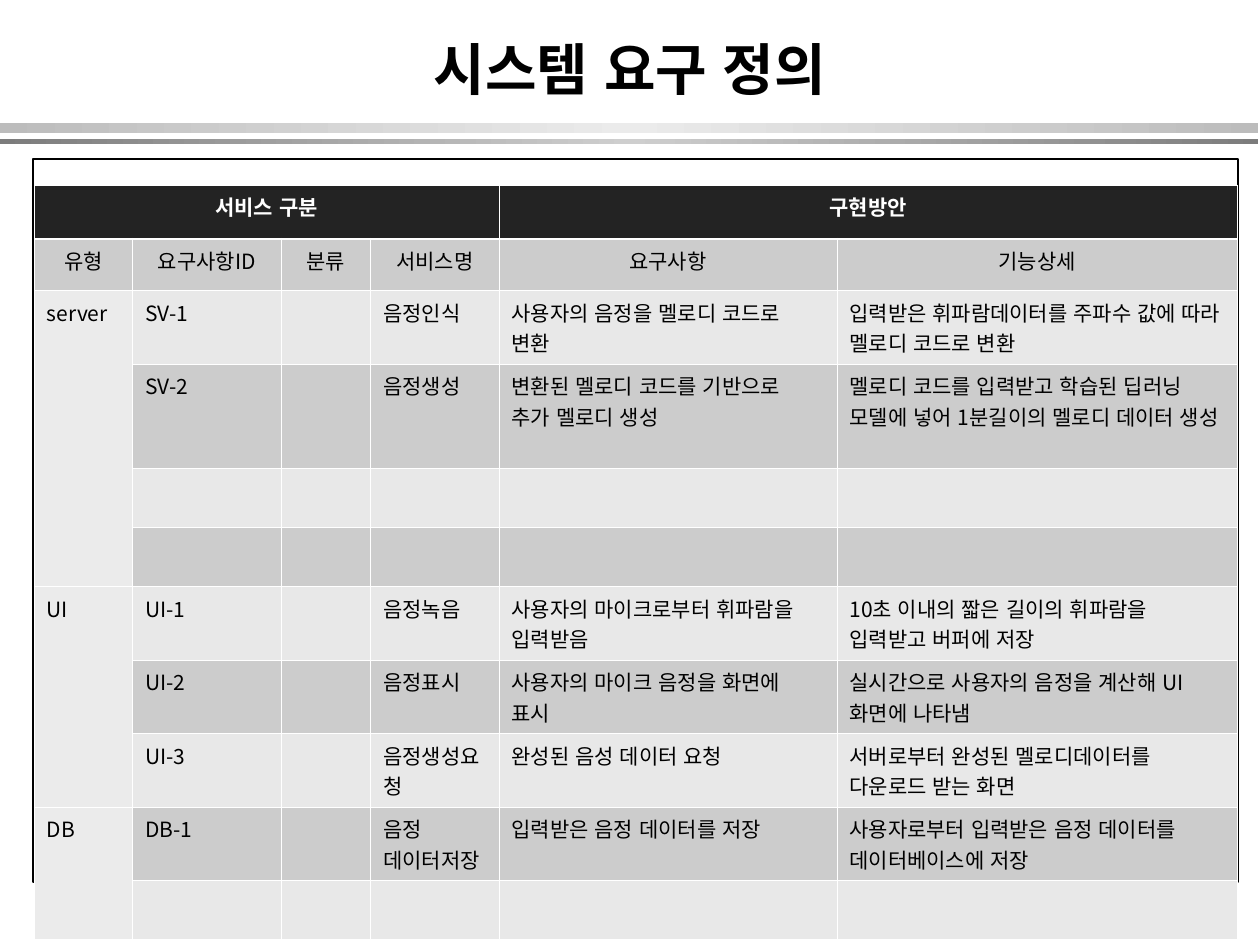
from copy import deepcopy
from lxml import etree
from pptx import Presentation, util as u
from pptx.dml.color import RGBColor
from pptx.enum import lang, shapes, text
from pptx.oxml.ns import qn

FACE = "Noto Sans CJK KR"


def color(code):
    return RGBColor.from_string(code)


def write(frame, words, size, code, bold, align):
    para = frame.paragraphs[0]
    para.alignment = align
    run = para.add_run()
    run.text = words
    look = {"name": FACE, "size": u.Pt(size), "bold": bold,
            "language_id": lang.MSO_LANGUAGE_ID.KOREAN}
    for key, val in look.items():
        setattr(run.font, key, val)
    run.font.color.rgb = color(code)
    east = etree.SubElement(run.font._element, qn("a:ea"))
    east.set("typeface", FACE)


deck = Presentation()
deck.slide_width, deck.slide_height = u.Cm(25.4), u.Cm(19.05)
slide = deck.slides.add_slide(deck.slide_layouts[5])

title = slide.shapes.title
place = {"left": 1.9, "top": 0.43, "width": 21.6, "height": 1.9}
for key, val in place.items():
    setattr(title, key, u.Cm(val))
title.text_frame.vertical_anchor = text.MSO_ANCHOR.MIDDLE
write(title.text_frame, "시스템 요구 정의", 32, "000000", True, text.PP_ALIGN.CENTER)

bars = [(2.49, 0.2, "BCBCBC", "EBEBEB"), (2.8, 0.1, "7C7C7C", "CECECE")]
for top, high, edge, mid in bars:
    bar = slide.shapes.add_shape(shapes.MSO_SHAPE.RECTANGLE, 0, u.Cm(top), u.Cm(25.37), u.Cm(high))
    bar.shadow.inherit = False
    bar.line.fill.background()
    bar.fill.gradient()
    bar.fill.gradient_angle = 0
    stops = bar._element.spPr.find(".//" + qn("a:gsLst"))
    stops.append(deepcopy(stops[0]))
    for stop, spot, code in zip(bar.fill.gradient_stops, (0, 0.5, 1), (edge, mid, edge)):
        stop.position = spot
        stop.color.rgb = color(code)

frame = slide.shapes.add_shape(shapes.MSO_SHAPE.RECTANGLE, u.Cm(0.66), u.Cm(3.2), u.Cm(24.3), u.Cm(14.58))
frame.shadow.inherit = False
frame.fill.background()
frame.line.color.rgb = color("000000")
frame.line.width = u.Pt(1)

rows = [
    ["서비스 구분", "", "", "", "구현방안", ""],
    ["유형", "요구사항ID", "분류", "서비스명", "요구사항", "기능상세"],
    ["server", "SV-1", "", "음정인식", "사용자의 음정을 멜로디 코드로 변환",
     "입력받은 휘파람데이터를 주파수 값에 따라 멜로디 코드로 변환"],
    ["", "SV-2", "", "음정생성", "변환된 멜로디 코드를 기반으로 추가 멜로디 생성",
     "멜로디 코드를 입력받고 학습된 딥러닝 모델에 넣어 1분길이의 멜로디 데이터 생성"],
    [""] * 6,
    [""] * 6,
    ["UI", "UI-1", "", "음정녹음", "사용자의 마이크로부터 휘파람을 입력받음",
     "10초 이내의 짧은 길이의 휘파람을 입력받고 버퍼에 저장"],
    ["", "UI-2", "", "음정표시", "사용자의 마이크 음정을 화면에 표시",
     "실시간으로 사용자의 음정을 계산해 UI화면에 나타냄"],
    ["", "UI-3", "", "음정생성요청", "완성된 음성 데이터 요청",
     "서버로부터 완성된 멜로디데이터를 다운로드 받는 화면"],
    ["DB", "DB-1", "", "음정 데이터저장", "입력받은 음정 데이터를 저장",
     "사용자로부터 입력받은 음정 데이터를 데이터베이스에 저장"],
    [""] * 6,
]
wide = [1.98, 3, 1.8, 2.59, 6.81, 8.08]
tall = [1.09, 1.04, 1.27, 1.78, 1.19, 1.19, 1.27, 1.27, 1.27, 1.27, 1.19]
grid = slide.shapes.add_table(len(rows), len(wide), u.Cm(0.69), u.Cm(3.73),
                              u.Cm(sum(wide)), u.Cm(sum(tall))).table
for col, size in zip(grid.columns, wide):
    col.width = u.Cm(size)
for row, size in zip(grid.rows, tall):
    row.height = u.Cm(size)

for r, line in enumerate(rows):
    for c, words in enumerate(line):
        cell = grid.cell(r, c)
        props = cell._tc.get_or_add_tcPr()
        for side in "LRTB":
            thick = (r, side) in ((0, "B"), (1, "T"))
            rule = etree.SubElement(props, qn("a:ln" + side), w=str(u.Pt(1.47 if thick else 0.45)))
            paint = etree.SubElement(rule, qn("a:solidFill"))
            etree.SubElement(paint, qn("a:srgbClr"), val="FFFFFF")
        if r == 0:
            code = "232323"
        elif r > 1 and c == 0:
            code = "EBEBEB"
        else:
            code = "CCCCCC" if r % 2 else "E8E8E8"
        cell.fill.solid()
        cell.fill.fore_color.rgb = color(code)
        if words:
            align = text.PP_ALIGN.CENTER if r < 2 else text.PP_ALIGN.LEFT
            write(cell.text_frame, words, 12, "000000" if r else "FFFFFF", r == 0, align)

for top, left, end, right in [(0, 0, 0, 3), (0, 4, 0, 5), (2, 0, 5, 0), (6, 0, 8, 0), (9, 0, 10, 0)]:
    grid.cell(top, left).merge(grid.cell(end, right))

deck.save("out.pptx")
